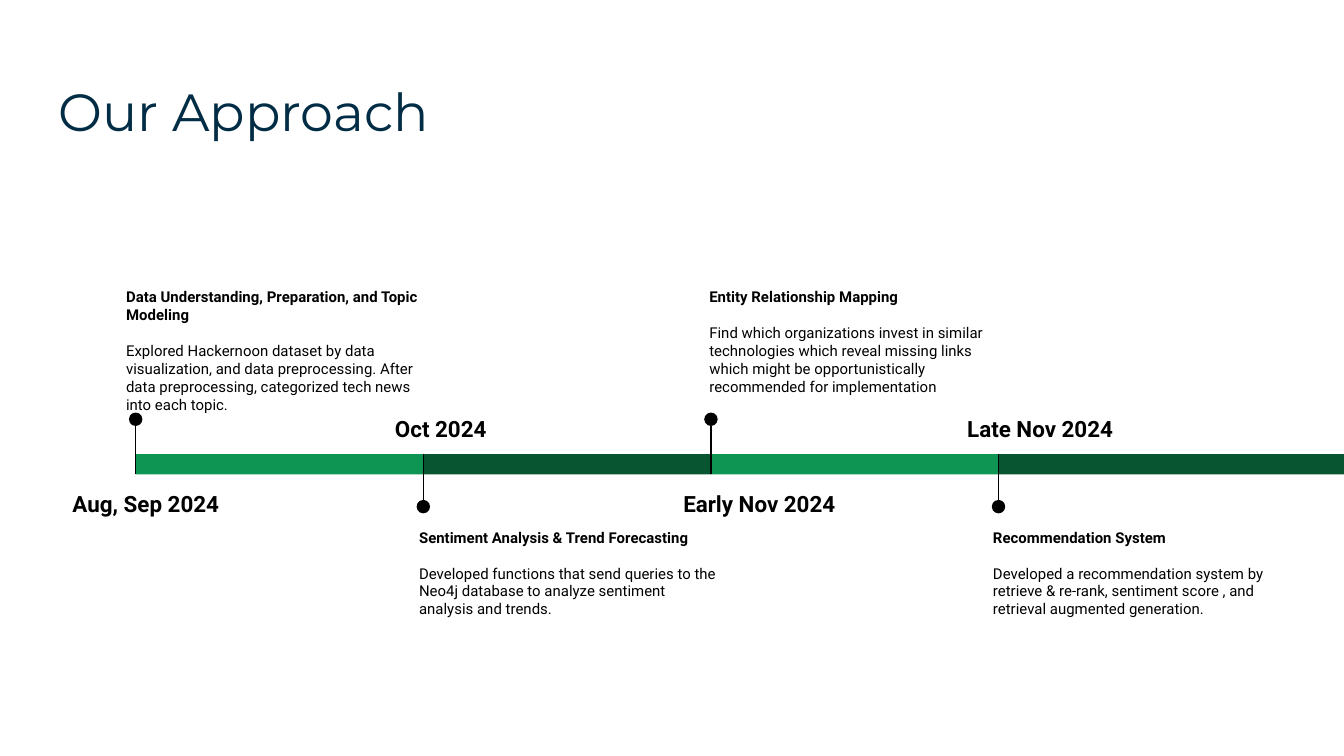
from dataclasses import dataclass

from lxml import etree
from pptx import Presentation
from pptx.dml.color import RGBColor
from pptx.enum.shapes import MSO_CONNECTOR, MSO_SHAPE
from pptx.enum.text import PP_ALIGN
from pptx.oxml.ns import qn
from pptx.shapes.group import GroupShape
from pptx.shapes.shapetree import SlideShapes
from pptx.text.text import TextFrame, _Paragraph as Paragraph
from pptx.util import Inches, Pt


@dataclass(frozen=True)
class Theme:
    title_color: RGBColor = RGBColor(0x00, 0x2D, 0x45)
    text_color: RGBColor = RGBColor(0x00, 0x00, 0x00)
    light_green: RGBColor = RGBColor(0x0E, 0x94, 0x53)
    dark_green: RGBColor = RGBColor(0x08, 0x56, 0x31)
    title_font: str = "Montserrat"
    body_font: str = "Roboto"
    title_size: float = 28
    date_size: float = 12
    detail_size: float = 8
    heading_gap: float = 9.7
    line_width: float = 0.75


@dataclass(frozen=True)
class Milestone:
    date: str
    heading: str
    detail: str
    date_left: float
    date_width: float
    detail_left: float


THEME = Theme()

# Timeline geometry, in inches, on a 16:9 page
SLIDE_WIDTH = 10
SLIDE_HEIGHT = SLIDE_WIDTH * 9 / 16
START, STEP = 1.01, 2.14
BAR_TOP, BAR_HEIGHT = 3.38, 0.15
STEM, DOT = 0.39, 0.1
DETAIL_WIDTH, DETAIL_HEIGHT, DATE_HEIGHT = 2.46, 1.03, 0.41

MILESTONES = [
    Milestone(
        "Aug, Sep 2024",
        "Data Understanding, Preparation, and Topic Modeling",
        "Explored Hackernoon dataset by data visualization, and data preprocessing. "
        "After data preprocessing, categorized tech news into each topic.",
        0.14, 1.89, 0.84,
    ),
    Milestone(
        "Oct 2024",
        "Sentiment Analysis & Trend Forecasting",
        "Developed functions that send queries to the Neo4j database to analyze "
        "sentiment analysis and trends.",
        2.75, 1.06, 3.02,
    ),
    Milestone(
        "Early Nov 2024",
        "Entity Relationship Mapping",
        "Find which organizations invest in similar technologies which reveal missing "
        "links which might be opportunistically recommended for implementation",
        4.94, 1.42, 5.18,
    ),
    Milestone(
        "Late Nov 2024",
        "Recommendation System",
        "Developed a recommendation system by retrieve & re-rank, sentiment score , "
        "and retrieval augmented generation.",
        7.02, 1.44, 7.29,
    ),
]


def add_text_box(shapes: SlideShapes, left: float, top: float,
                 width: float, height: float) -> TextFrame:
    box = shapes.add_textbox(Inches(left), Inches(top), Inches(width), Inches(height))
    text_frame = box.text_frame
    text_frame.word_wrap = True
    text_frame.margin_left = text_frame.margin_right = Inches(0.1)
    text_frame.margin_top = text_frame.margin_bottom = Inches(0.1)
    return text_frame


def format_runs(paragraph: Paragraph, font: str, size: float,
                color: RGBColor, bold: bool = False) -> None:
    for run in paragraph.runs:
        run.font.name = font
        run.font.size = Pt(size)
        run.font.bold = bold
        run.font.color.rgb = color


def add_filled_shape(group: GroupShape, kind: MSO_SHAPE, left: float, top: float,
                     width: float, height: float, color: RGBColor) -> None:
    shape = group.shapes.add_shape(
        kind, Inches(left), Inches(top), Inches(width), Inches(height))
    shape.shadow.inherit = False
    shape.fill.solid()
    shape.fill.fore_color.rgb = color
    shape.line.fill.background()


def add_stem(group: GroupShape, x: float, start: float, end: float) -> None:
    line = group.shapes.add_connector(
        MSO_CONNECTOR.STRAIGHT, Inches(x), Inches(start), Inches(x), Inches(end))
    line.line.color.rgb = THEME.text_color
    line.line.width = Pt(THEME.line_width)
    etree.SubElement(line._element.spPr, qn("a:effectLst"))


def add_date(group: GroupShape, milestone: Milestone, top: float) -> None:
    text_frame = add_text_box(
        group.shapes, milestone.date_left, top, milestone.date_width, DATE_HEIGHT)
    text_frame.text = milestone.date
    paragraph = text_frame.paragraphs[0]
    paragraph.alignment = PP_ALIGN.CENTER
    paragraph.line_spacing = 1.15
    format_runs(paragraph, THEME.body_font, THEME.date_size, THEME.text_color, bold=True)


def add_detail(group: GroupShape, milestone: Milestone, top: float) -> None:
    text_frame = add_text_box(
        group.shapes, milestone.detail_left, top, DETAIL_WIDTH, DETAIL_HEIGHT)
    text_frame.text = f"{milestone.heading}\n{milestone.detail}"
    heading, detail = text_frame.paragraphs
    heading.space_after = Pt(THEME.heading_gap)
    format_runs(heading, THEME.body_font, THEME.detail_size, THEME.text_color, bold=True)
    format_runs(detail, THEME.body_font, THEME.detail_size, THEME.text_color)


def add_milestone(shapes: SlideShapes, index: int, milestone: Milestone) -> None:
    group = shapes.add_group_shape()
    x = START + index * STEP
    is_last = index == len(MILESTONES) - 1
    width = SLIDE_WIDTH - x if is_last else STEP
    bar_bottom = BAR_TOP + BAR_HEIGHT

    # Details alternate above and below the bar, with the date opposite
    if index % 2 == 0:
        color, date_top, detail_top = THEME.light_green, 3.52, 2.04
        stem_start, stem_end = bar_bottom - STEM, bar_bottom
        dot_top = 3.07
    else:
        color, date_top, detail_top = THEME.dark_green, 2.96, 3.83
        stem_start, stem_end = BAR_TOP + STEM, BAR_TOP
        dot_top = 3.72

    add_filled_shape(group, MSO_SHAPE.RECTANGLE, x, BAR_TOP, width, BAR_HEIGHT, color)
    add_stem(group, x, stem_start, stem_end)
    add_filled_shape(group, MSO_SHAPE.OVAL, x - DOT / 2, dot_top, DOT, DOT,
                     THEME.text_color)
    add_date(group, milestone, date_top)
    add_detail(group, milestone, detail_top)


def main() -> None:
    presentation = Presentation()
    presentation.slide_width = Inches(SLIDE_WIDTH)
    presentation.slide_height = Inches(SLIDE_HEIGHT)
    slide = presentation.slides.add_slide(presentation.slide_layouts[6])

    # Title
    title = add_text_box(slide.shapes, 0.34, 0.49, 9.32, 0.63)
    title.text = "Our Approach"
    format_runs(title.paragraphs[0], THEME.title_font, THEME.title_size, THEME.title_color)

    # Timeline
    for index, milestone in enumerate(MILESTONES):
        add_milestone(slide.shapes, index, milestone)

    presentation.save("out.pptx")


if __name__ == "__main__":
    main()
